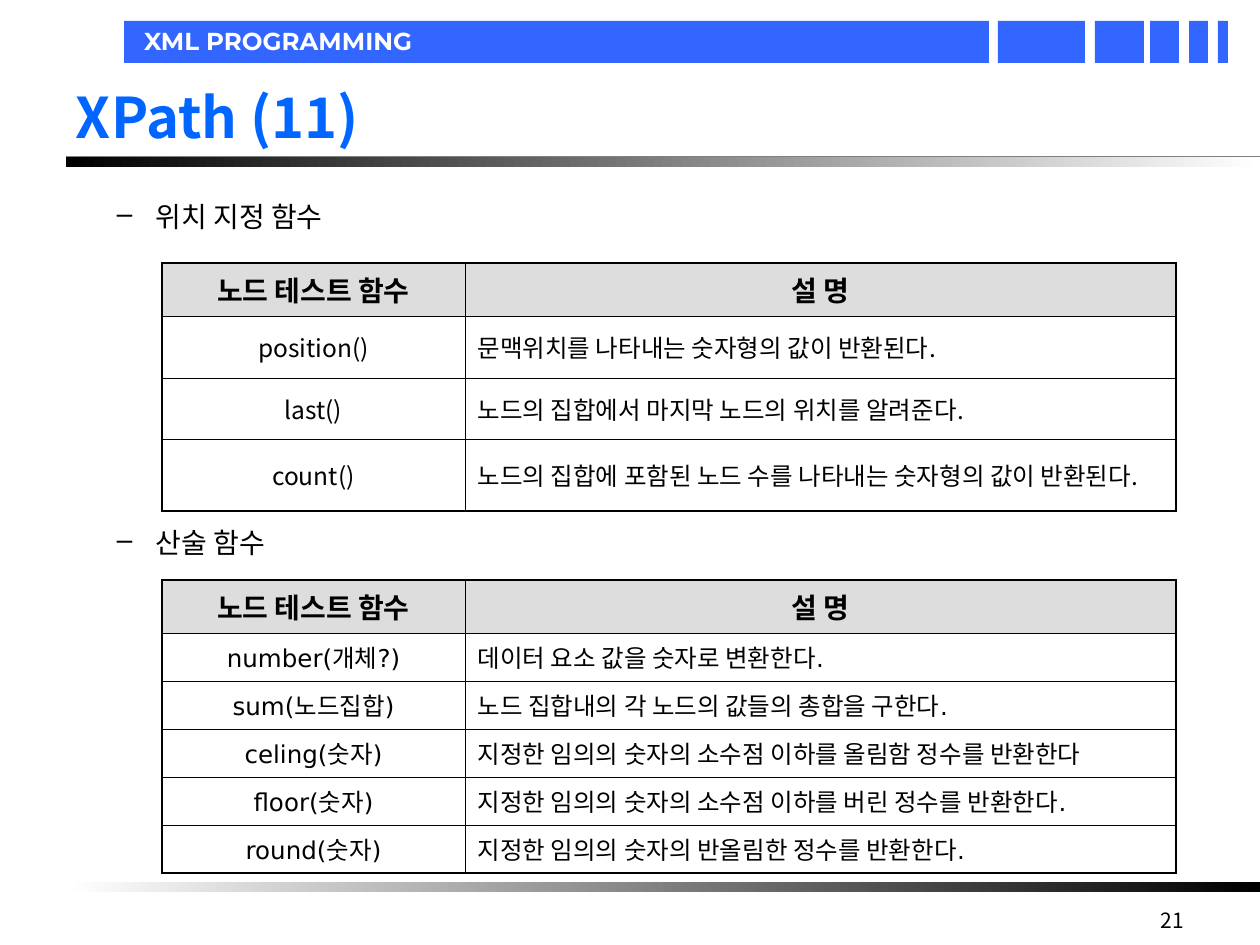
from dataclasses import dataclass

from lxml.etree import SubElement
from pptx import Presentation
from pptx.dml.color import RGBColor
from pptx.enum.shapes import MSO_CONNECTOR as Connector, MSO_SHAPE as Shape
from pptx.enum.text import MSO_ANCHOR as Anchor, PP_ALIGN as Align
from pptx.oxml.ns import qn
from pptx.util import Pt

EMU_PER_PX = 914400 / 126


@dataclass(frozen=True)
class Theme:
    band: str = "3366FF"
    title: str = "0066FF"
    ink: str = "000000"
    paper: str = "FFFFFF"
    rule: str = "808080"
    header: str = "DDDDDD"
    sans: str = "Noto Sans CJK KR"
    code: str = "DejaVu Sans"
    display: str = "Montserrat"
    title_size: int = 32
    heading_size: int = 16
    body_size: int = 14
    page_size: int = 12
    thick: float = 1.08
    thin: float = 0.45


THEME = Theme()


def px(length):
    return round(length * EMU_PER_PX)


def rgb(value):
    return RGBColor.from_string(value)


def write(frame, text, size=THEME.body_size, font=THEME.sans, color=THEME.ink,
          bold=False, align=Align.LEFT, bullet=None, indent=0, hanging=0):
    para = frame.paragraphs[0]
    para.alignment = align
    if bullet:
        properties = para._p.get_or_add_pPr()
        properties.set("marL", str(px(indent)))
        properties.set("indent", str(-px(hanging)))
        SubElement(properties, qn("a:buChar"), char=bullet)
    span = para.add_run()
    span.text = text
    span.font.name = font
    span.font.size = Pt(size)
    span.font.bold = bold
    span.font.color.rgb = rgb(color)
    SubElement(span._r.get_or_add_rPr(), qn("a:ea"), typeface=THEME.sans)


class SlideBuilder:
    def __init__(self, page, theme):
        self.page = page
        self.theme = theme

    def bar(self, left, top, width, height):
        box = self.page.shapes.add_shape(
            Shape.RECTANGLE, px(left), px(top), px(width), px(height))
        box.shadow.inherit = False
        box.line.fill.background()
        box.fill.solid()
        box.fill.fore_color.rgb = rgb(self.theme.band)
        return box

    def gradient_bar(self, left, top, width, height, start, end):
        fill = self.bar(left, top, width, height).fill
        fill.gradient()
        fill.gradient_angle = 0
        for stop, color, position in zip(fill.gradient_stops, (start, end), (0, 1)):
            stop.color.rgb = rgb(color)
            stop.position = position

    def line(self, left, top, right, bottom, color, weight):
        rule = self.page.shapes.add_connector(
            Connector.STRAIGHT, px(left), px(top), px(right), px(bottom))
        rule.line.color.rgb = rgb(color)
        rule.line.width = Pt(weight)
        SubElement(rule._element.spPr, qn("a:effectLst"))

    def text(self, left, top, width, height, text, anchor=Anchor.TOP,
             inset=(0, 0), **style):
        box = self.page.shapes.add_textbox(px(left), px(top), px(width), px(height))
        frame = box.text_frame
        frame.word_wrap = True
        frame.vertical_anchor = anchor
        frame.margin_left = frame.margin_right = px(inset[0])
        frame.margin_top = frame.margin_bottom = px(inset[1])
        write(frame, text, **style)

    def borders(self, cell, outer):
        properties = cell._tc.get_or_add_tcPr()
        for side in "LRTB":
            weight = self.theme.thick if side in outer else self.theme.thin
            edge = SubElement(properties, qn(f"a:ln{side}"), w=str(Pt(weight)))
            fill = SubElement(edge, qn("a:solidFill"))
            SubElement(fill, qn("a:srgbClr"), val=self.theme.ink)

    def table(self, left, top, widths, heights, rows, font):
        frame = self.page.shapes.add_table(
            len(rows), len(widths), px(left), px(top), px(sum(widths)), px(sum(heights)))
        grid = frame.table
        grid.first_row = grid.horz_banding = False
        for column, width in zip(grid.columns, widths):
            column.width = px(width)
        for row, height in zip(grid.rows, heights):
            row.height = px(height)
        for r, row in enumerate(rows):
            for c, text in enumerate(row):
                cell = grid.cell(r, c)
                cell.vertical_anchor = Anchor.MIDDLE
                outer = "L" if c == 0 else "R"
                if r == 0:
                    outer += "T"
                if r == len(rows) - 1:
                    outer += "B"
                self.borders(cell, outer)
                if r == 0:
                    cell.fill.solid()
                    cell.fill.fore_color.rgb = rgb(self.theme.header)
                    write(cell.text_frame, text, size=self.theme.heading_size,
                          font=self.theme.code, bold=True, align=Align.CENTER)
                else:
                    cell.fill.background()
                    write(cell.text_frame, text, font=font,
                          align=Align.CENTER if c == 0 else Align.LEFT)


def main():
    deck = Presentation()
    deck.slide_width, deck.slide_height = px(1260), px(945)
    page = deck.slides.add_slide(deck.slide_layouts[6])
    slide = SlideBuilder(page, THEME)

    for left, width in ((998, 87), (1095, 49), (1150, 29), (1189, 19),
                        (1218, 10), (124, 865)):
        slide.bar(left, 21, width, 42)
    slide.text(144, 26, 635, 29, "XML PROGRAMMING", anchor=Anchor.MIDDLE,
               font=THEME.display, color=THEME.paper, bold=True)
    slide.line(66, 157, 1260, 157, THEME.rule, 1.5)
    slide.gradient_bar(66, 157, 1194, 10, THEME.ink, THEME.paper)
    slide.gradient_bar(66, 882, 1194, 10, THEME.paper, THEME.ink)
    slide.text(903, 902, 294, 37, "21", inset=(13, 6), size=THEME.page_size,
               align=Align.RIGHT)
    slide.text(63, 38, 1134, 157, "XPath (11)", anchor=Anchor.MIDDLE, inset=(13, 6),
               size=THEME.title_size, color=THEME.title, bold=True)

    for top, heading in ((200, "위치 지정 함수"), (526, "산술 함수")):
        slide.text(54, top, 1097, 41, heading, size=THEME.heading_size,
                   bullet="–", indent=102, hanging=39)

    header = ("노드 테스트 함수", "설 명")
    widths = (303, 711)
    slide.table(162, 263, widths, (53, 62, 61, 72), (
        header,
        ("position()", "문맥위치를 나타내는 숫자형의 값이 반환된다."),
        ("last()", "노드의 집합에서 마지막 노드의 위치를 알려준다."),
        ("count()", "노드의 집합에 포함된 노드 수를 나타내는 숫자형의 값이 반환된다."),
    ), THEME.sans)
    slide.table(162, 580, widths, (53, *[48] * 5), (
        header,
        ("number(개체?)", "데이터 요소 값을 숫자로 변환한다."),
        ("sum(노드집합)", "노드 집합내의 각 노드의 값들의 총합을 구한다."),
        ("celing(숫자)", "지정한 임의의 숫자의 소수점 이하를 올림함 정수를 반환한다"),
        ("floor(숫자)", "지정한 임의의 숫자의 소수점 이하를 버린 정수를 반환한다."),
        ("round(숫자)", "지정한 임의의 숫자의 반올림한 정수를 반환한다."),
    ), THEME.code)
    deck.save("out.pptx")


if __name__ == "__main__":
    main()
